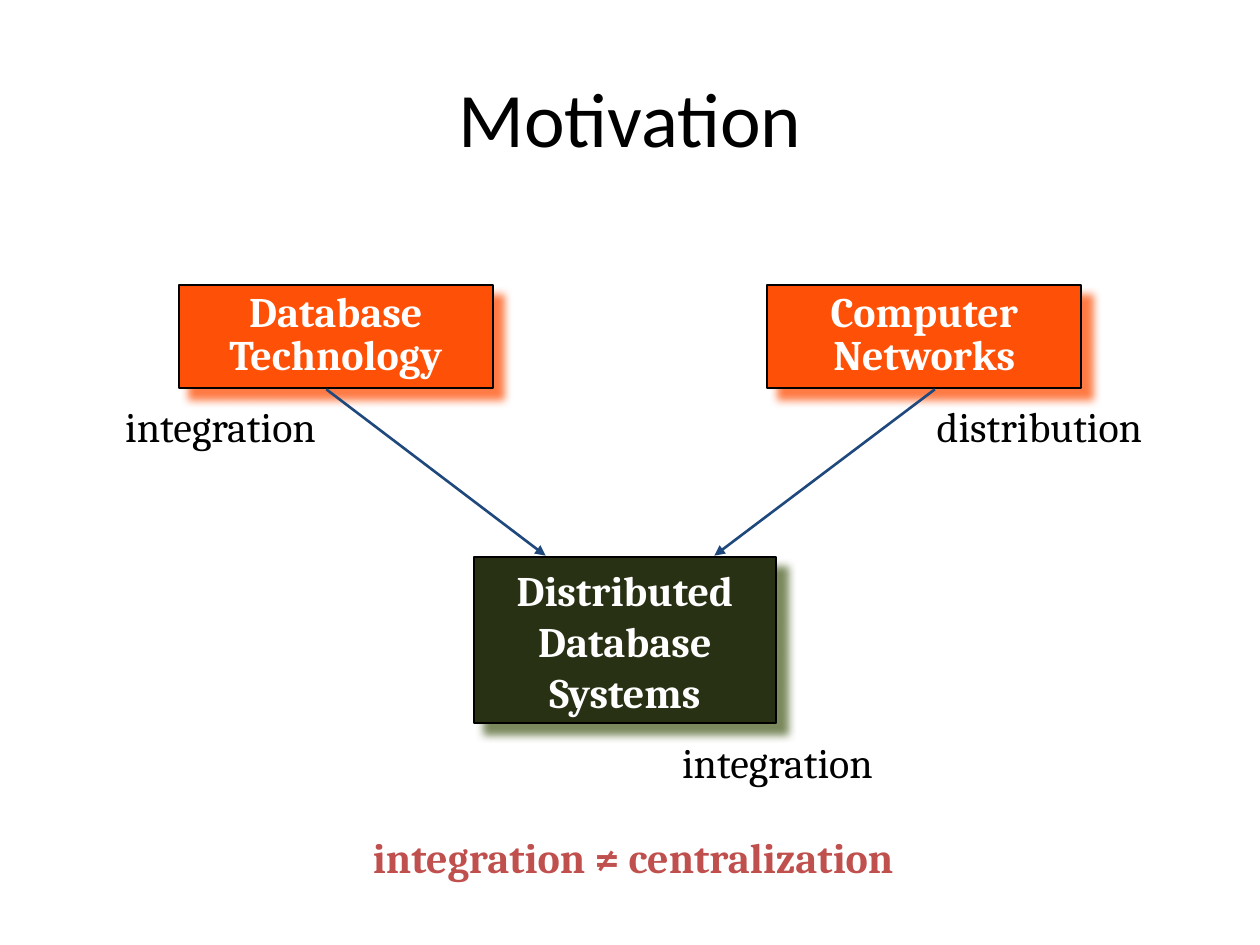
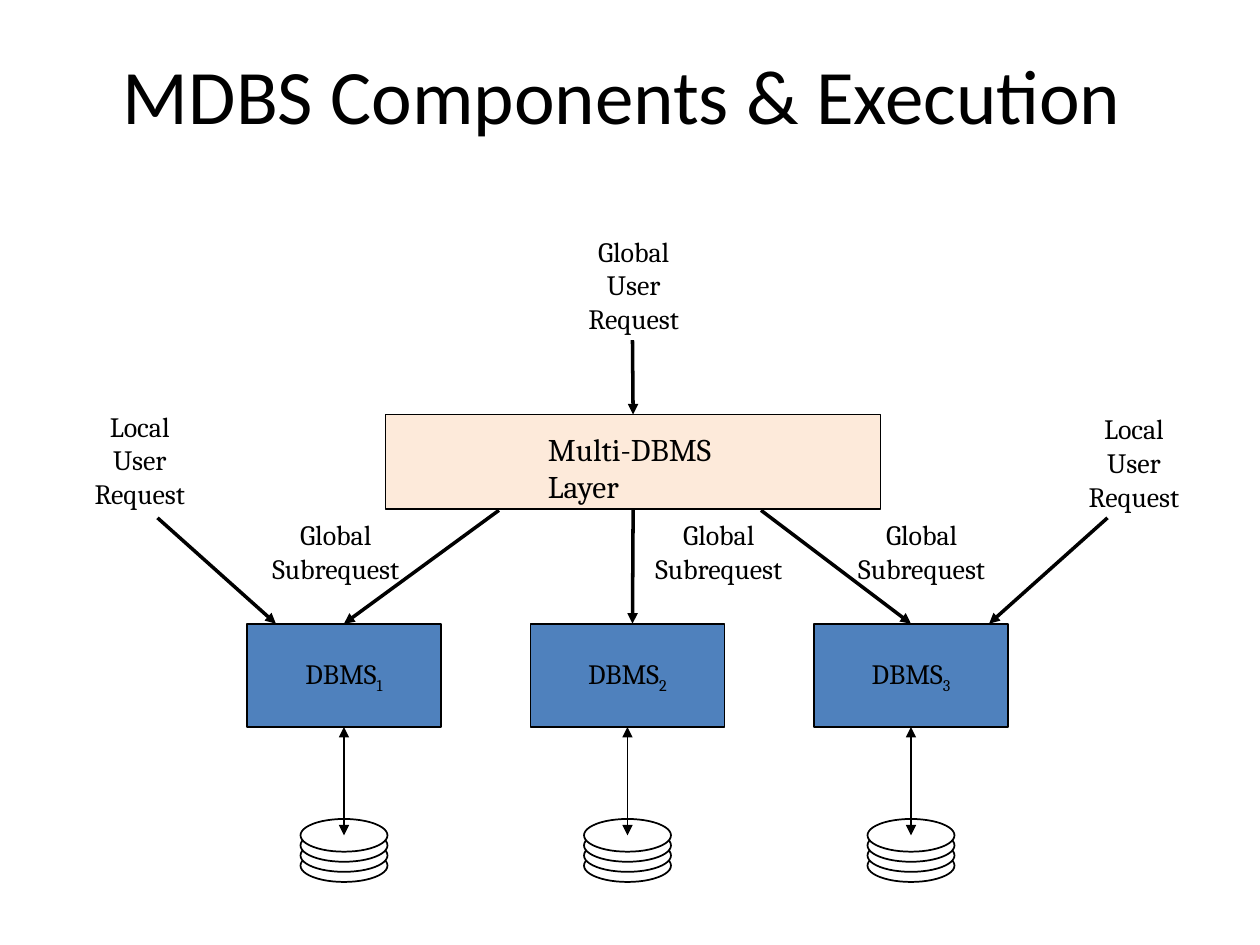
import dataclasses

import lxml.etree
import pptx
import pptx.dml.color
import pptx.enum.shapes
import pptx.enum.text
import pptx.oxml
import pptx.oxml.ns
import pptx.util


@dataclasses.dataclass(frozen=True)
class Theme:
    title_font: str = "Calibri"
    body_font: str = "Cambria"
    black: str = "000000"
    white: str = "FFFFFF"
    orange: str = "FF5008"
    olive: str = "283114"
    olive_shadow: str = "4F6228"
    navy: str = "1F497D"
    blue: str = "4F81BD"
    peach: str = "FDEADA"
    red: str = "C0504D"
    title_size: int = 44
    large_size: int = 24
    layer_size: int = 18
    small_size: int = 16


theme = Theme()
rgb = pptx.dml.color.RGBColor.from_string
qn = pptx.oxml.ns.qn
shape_kinds = pptx.enum.shapes.MSO_SHAPE
straight = pptx.enum.shapes.MSO_CONNECTOR.STRAIGHT
align = pptx.enum.text.PP_ALIGN
anchors = pptx.enum.text.MSO_ANCHOR

deck = pptx.Presentation()
deck.slide_width = pptx.util.Inches(10)
deck.slide_height = pptx.util.Inches(7.5)
column = deck.slide_width / 100
row = deck.slide_height / 75


def grid(left, top, right, bottom):
    return [round(left * column), round(top * row),
            round(right * column), round(bottom * row)]


def write(box, text, size=theme.small_size, font=theme.body_font, color=theme.black,
          bold=False, alignment=align.CENTER, spacing=1.0, anchor=anchors.MIDDLE,
          inset=(0.1, 0.05), wrap=False, subscript=""):
    frame = box.text_frame
    frame.word_wrap = wrap
    frame.vertical_anchor = anchor
    frame.margin_left = frame.margin_right = pptx.util.Inches(inset[0])
    frame.margin_top = frame.margin_bottom = pptx.util.Inches(inset[1])
    frame.text = text
    if subscript:
        lowered = frame.paragraphs[-1].add_run()
        lowered.text = subscript
        lowered.font._element.set("baseline", "-25000")
    for para in frame.paragraphs:
        para.alignment = alignment
        para.line_spacing = spacing
        for span in para.runs:
            span.font.name = font
            span.font.size = pptx.util.Pt(size)
            span.font.bold = bold
            span.font.color.rgb = rgb(color)


titles = [
    ("Motivation", (5, 3, 90, 12.5)),
    ("MDBS Components & Execution", (2.1, 1.2, 94.6, 12.5)),
]
for title, place in titles:
    page = deck.slides.add_slide(deck.slide_layouts[5])
    heading = page.shapes.title
    heading.left, heading.top, heading.width, heading.height = grid(*place)
    write(heading, title, size=theme.title_size, font=theme.title_font, wrap=True)
motivation, components = deck.slides

large = dict(size=theme.large_size, spacing=0.85, inset=(0.07, 0.03))
strong = dict(large, bold=True, color=theme.white)

dbms_columns = [19.6 + 22.5 * index for index in range(3)]
dbms_centers = [left + 7.7 for left in dbms_columns]

rectangles = [
    (motivation, "database", (14.2, 22.6, 24.9, 8.2), theme.orange, theme.orange,
     "Database\nTechnology", strong),
    (motivation, "network", (60.9, 22.6, 24.9, 8.2), theme.orange, theme.orange,
     "Computer\nNetworks", strong),
    (motivation, "distributed", (37.6, 44.2, 24, 13.2), theme.olive, theme.olive_shadow,
     "Distributed\nDatabase\nSystems", dict(strong, spacing=1.02)),
    (components, "layer", (30.6, 32.9, 39.3, 7.5), theme.peach, None, "", {}),
]
for number, left in enumerate(dbms_columns, 1):
    rectangles.append((components, f"dbms{number}", (left, 49.5, 15.4, 8.2), theme.blue,
                       None, "DBMS", dict(subscript=str(number))))

boxes = {}
for page, name, place, fill, shadow, text, style in rectangles:
    box = page.shapes.add_shape(shape_kinds.RECTANGLE, *grid(*place))
    box.fill.solid()
    box.fill.fore_color.rgb = rgb(fill)
    box.line.color.rgb = rgb(theme.black)
    box.line.width = pptx.util.Pt(1)
    box.shadow.inherit = False
    if shadow:
        effects = box._element.spPr.find(qn("a:effectLst"))
        outer = lxml.etree.SubElement(
            effects, qn("a:outerShdw"), blurRad=str(pptx.util.Pt(5)),
            dist=str(pptx.util.Pt(8.5)), dir="2700000", algn="ctr", rotWithShape="0")
        tint = lxml.etree.SubElement(outer, qn("a:srgbClr"), val=shadow)
        lxml.etree.SubElement(tint, qn("a:alpha"), val="75000")
    if text:
        write(box, text, **style)
    boxes[name] = box

for center in dbms_centers:
    for level in range(4):
        disk = components.shapes.add_shape(
            shape_kinds.OVAL, *grid(center - 3.45, 67.4 - 0.8 * level, 6.9, 2.6))
        disk.fill.solid()
        disk.fill.fore_color.rgb = rgb(theme.white)
        disk.line.color.rgb = rgb(theme.black)
        disk.line.width = pptx.util.Pt(1)
        disk.shadow.inherit = False

arrows = [
    (motivation, (25.9, 30.9, 43.3, 44.1), theme.navy, 1.5, None, None),
    (motivation, (74.2, 30.9, 56.7, 44.1), theme.navy, 1.5, None, None),
    (components, (50.2, 27, 50.2, 32.9), theme.black, 2, None, ("layer", 0)),
    (components, (50.2, 40.4, 50.2, 49.5), theme.black, 2, ("layer", 2), None),
    (components, (39.6, 40.5, 27.3, 49.5), theme.black, 2, None, ("dbms1", 0)),
    (components, (60.4, 40.5, 72.3, 49.5), theme.black, 2, None, ("dbms3", 0)),
    (components, (12.5, 41.1, 21.9, 49.5), theme.black, 2, None, None),
    (components, (87.9, 41.1, 78.5, 49.5), theme.black, 2, None, None),
]
for number, center in enumerate(dbms_centers, 1):
    arrows.append((components, (center, 57.7, center, 66.3), theme.black, 1,
                   (f"dbms{number}", 2), None))

for page, ends, color, weight, start, finish in arrows:
    arrow = page.shapes.add_connector(straight, *grid(*ends))
    arrow.line.color.rgb = rgb(color)
    arrow.line.width = pptx.util.Pt(weight)
    if start:
        arrow.begin_connect(boxes[start[0]], start[1])
    if finish:
        arrow.end_connect(boxes[finish[0]], finish[1])
    line = arrow.line._get_or_add_ln()
    if weight == 1:
        lxml.etree.SubElement(line, qn("a:headEnd"), type="triangle")
    lxml.etree.SubElement(line, qn("a:tailEnd"), type="triangle")
    lxml.etree.SubElement(arrow._element.spPr, qn("a:effectLst"))

labels = [
    (motivation, (8.6, 32.1, 17.8, 4.1), "integration", large),
    (motivation, (73, 32.1, 19, 4.1), "distribution", large),
    (motivation, (52.8, 58.8, 17.8, 4.1), "integration", large),
    (motivation, (28.9, 66.3, 42.9, 4.1), "integration ≠ centralization",
     dict(strong, color=theme.red, alignment=align.LEFT)),
    (components, (42.5, 33.6, 16.5, 7.1), "Multi-DBMS\nLayer",
     dict(size=theme.layer_size, alignment=align.LEFT)),
    (components, (45.3, 18.1, 10, 9.1), "Global\nUser\nRequest", {}),
    (components, (6.1, 32, 10, 9.1), "Local\nUser\nRequest", {}),
    (components, (85, 32.2, 10, 9.1), "Local\nUser\nRequest", {}),
]
for left in (20.1, 50.5, 66.6):
    labels.append((components, (left, 40.6, 13.1, 6.4), "Global\nSubrequest", {}))

for page, place, text, style in labels:
    label = page.shapes.add_textbox(*grid(*place))
    write(label, text, anchor=anchors.TOP, **style)
    label.text_frame.auto_size = pptx.enum.text.MSO_AUTO_SIZE.SHAPE_TO_FIT_TEXT

deck.save("out.pptx")
